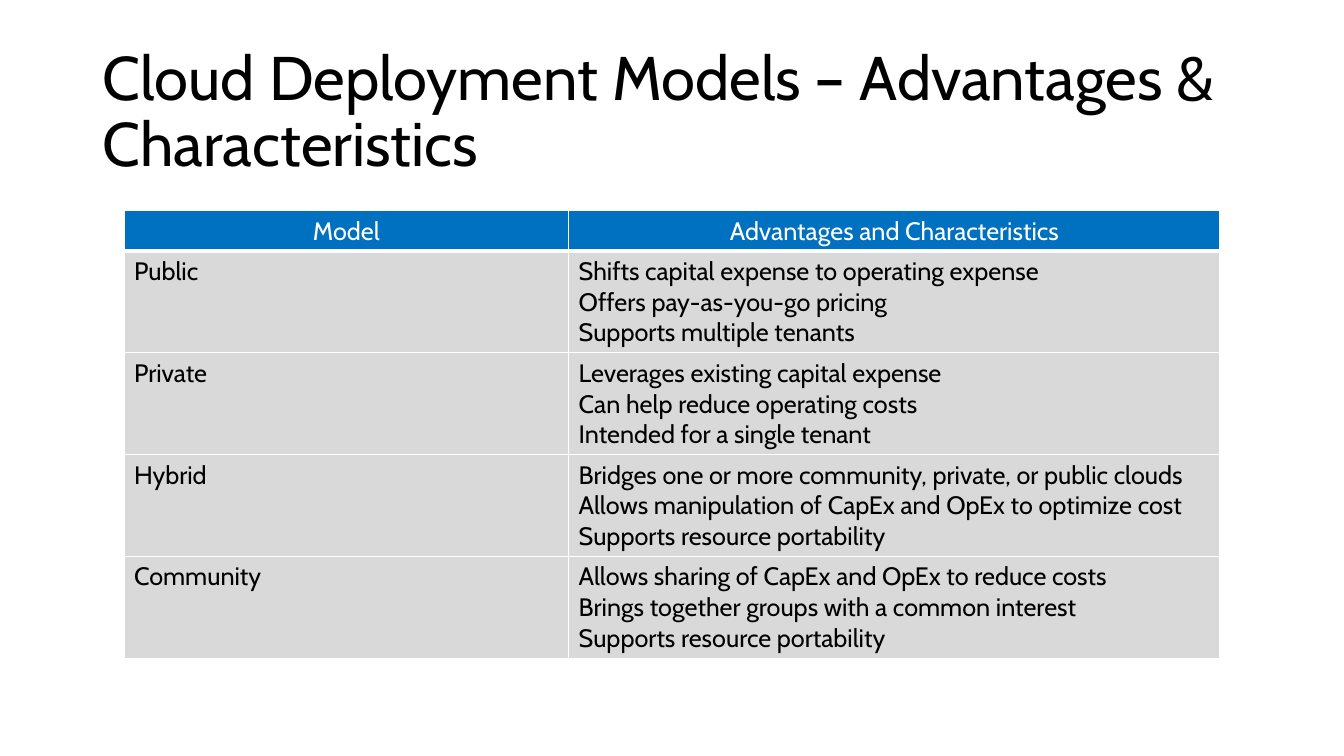
from lxml import etree
from pptx import Presentation
from pptx.dml.color import RGBColor
from pptx.enum.text import MSO_ANCHOR, PP_ALIGN
from pptx.oxml.ns import qn
from pptx.util import Inches, Pt

# Content
TITLE = "Cloud Deployment Models – Advantages & Characteristics"
HEADINGS = ("Model", "Advantages and Characteristics")
MODELS = {
    "Public": (
        "Shifts capital expense to operating expense",
        "Offers pay-as-you-go pricing",
        "Supports multiple tenants",
    ),
    "Private": (
        "Leverages existing capital expense",
        "Can help reduce operating costs",
        "Intended for a single tenant",
    ),
    "Hybrid": (
        "Bridges one or more community, private, or public clouds",
        "Allows manipulation of CapEx and OpEx to optimize cost",
        "Supports resource portability",
    ),
    "Community": (
        "Allows sharing of CapEx and OpEx to reduce costs",
        "Brings together groups with a common interest",
        "Supports resource portability",
    ),
}

# Style
FONT = "Cabin"
BLACK = RGBColor(0x00, 0x00, 0x00)
WHITE = RGBColor(0xFF, 0xFF, 0xFF)
BLUE = RGBColor(0x00, 0x70, 0xC0)
GRAY = RGBColor(0xD9, 0xD9, 0xD9)
LEFT, CENTER = PP_ALIGN.LEFT, PP_ALIGN.CENTER
MIDDLE = MSO_ANCHOR.MIDDLE

# Table measures in inches
COLUMN_WIDTHS = (4.41, 6.46)
HEADER_HEIGHT, MODEL_HEIGHT = 0.39, 1.01


def write_lines(frame, lines, size, color, align=LEFT):
    for index, line in enumerate(lines):
        para = frame.paragraphs[0] if index == 0 else frame.add_paragraph()
        para.alignment = align
        span = para.add_run()
        span.text = line
        span.font.name = FONT
        span.font.size = Pt(size)
        span.font.color.rgb = color


def add_borders(cell, bottom):
    properties = cell._tc.get_or_add_tcPr()
    widths = {"a:lnL": 1, "a:lnR": 1, "a:lnT": 1, "a:lnB": bottom}
    for position, (tag, width) in enumerate(widths.items()):
        line = etree.Element(qn(tag), w=str(Pt(width)))
        fill = etree.SubElement(line, qn("a:solidFill"))
        etree.SubElement(fill, qn("a:srgbClr"), val=str(WHITE))
        properties.insert(position, line)


def add_title(page):
    box = page.shapes.add_textbox(Inches(0.92), Inches(0.4), Inches(11.5), Inches(1.45))
    frame = box.text_frame
    frame.word_wrap = True
    frame.vertical_anchor = MIDDLE
    write_lines(frame, [TITLE], 44, BLACK)
    frame.paragraphs[0].line_spacing = 0.9


def add_models_table(page):
    rows = [[[heading] for heading in HEADINGS]]
    rows += [[[model], traits] for model, traits in MODELS.items()]
    heights = [HEADER_HEIGHT] + [MODEL_HEIGHT] * len(MODELS)
    table = page.shapes.add_table(
        len(rows), len(HEADINGS), Inches(1.23), Inches(2.09),
        Inches(sum(COLUMN_WIDTHS)), Inches(sum(heights)),
    ).table
    table.horz_banding = False
    for column, width in zip(table.columns, COLUMN_WIDTHS):
        column.width = Inches(width)
    for index, (row, height, texts) in enumerate(zip(table.rows, heights, rows)):
        row.height = Inches(height)
        header = index == 0
        for cell, lines in zip(row.cells, texts):
            cell.fill.solid()
            cell.fill.fore_color.rgb = BLUE if header else GRAY
            add_borders(cell, 3 if header else 1)
            write_lines(cell.text_frame, lines, 18,
                        WHITE if header else BLACK, CENTER if header else LEFT)
            for para in cell.text_frame.paragraphs:
                for span in para.runs:
                    span.font.bold = False


def main():
    deck = Presentation()
    deck.slide_width, deck.slide_height = Inches(13.33), Inches(7.5)
    page = deck.slides.add_slide(deck.slide_layouts[6])
    add_title(page)
    add_models_table(page)
    deck.save("out.pptx")


if __name__ == "__main__":
    main()
